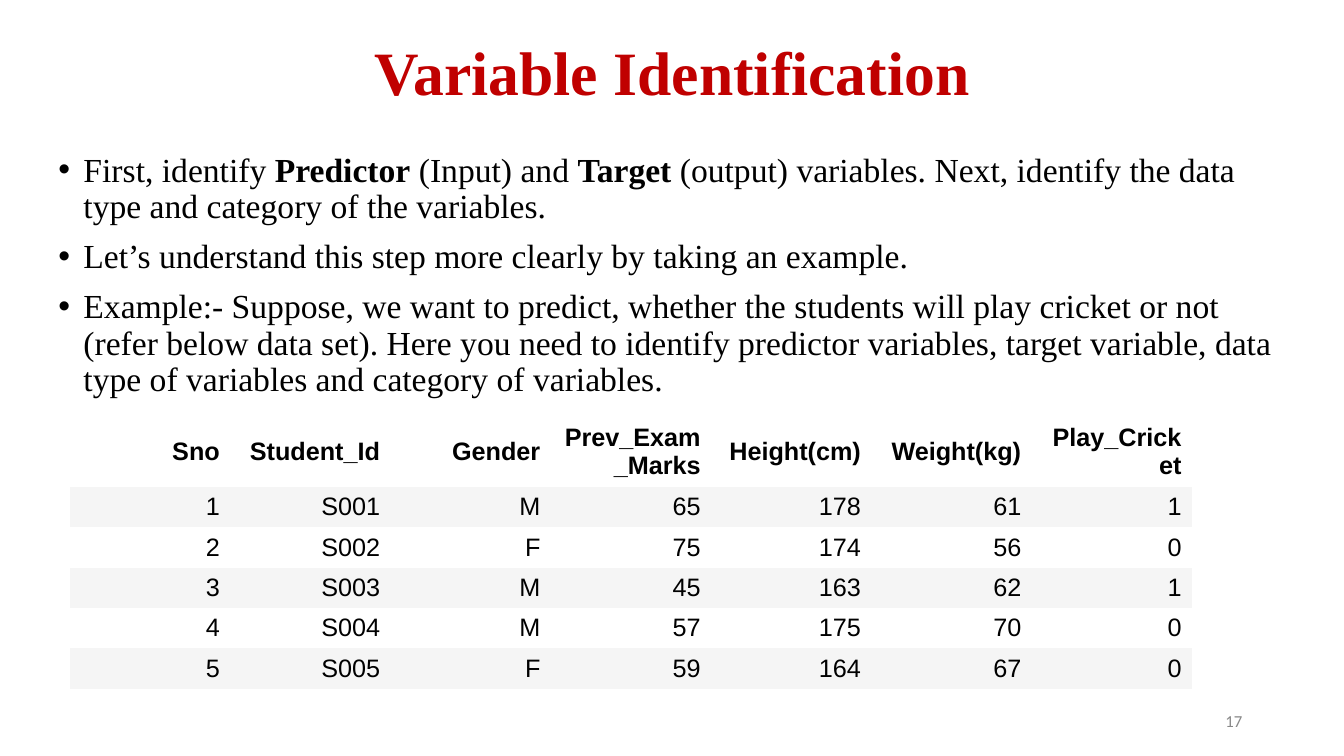
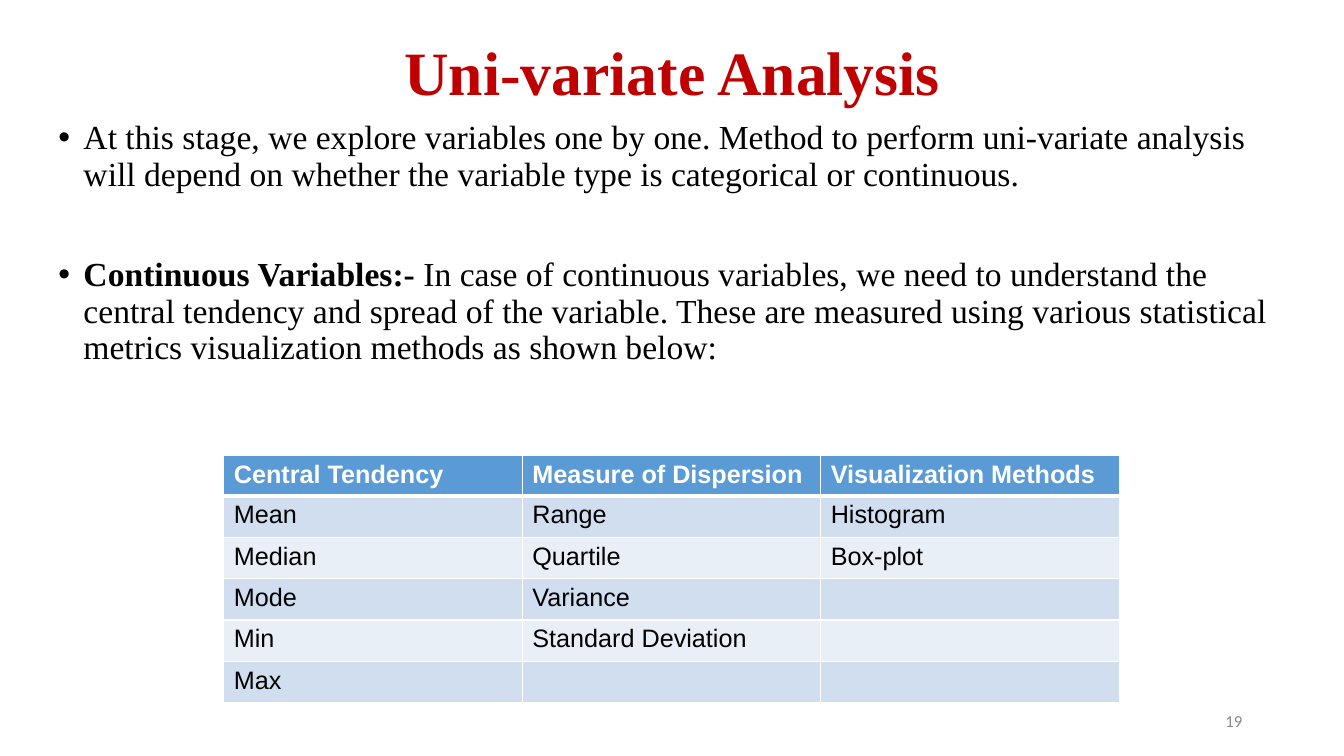
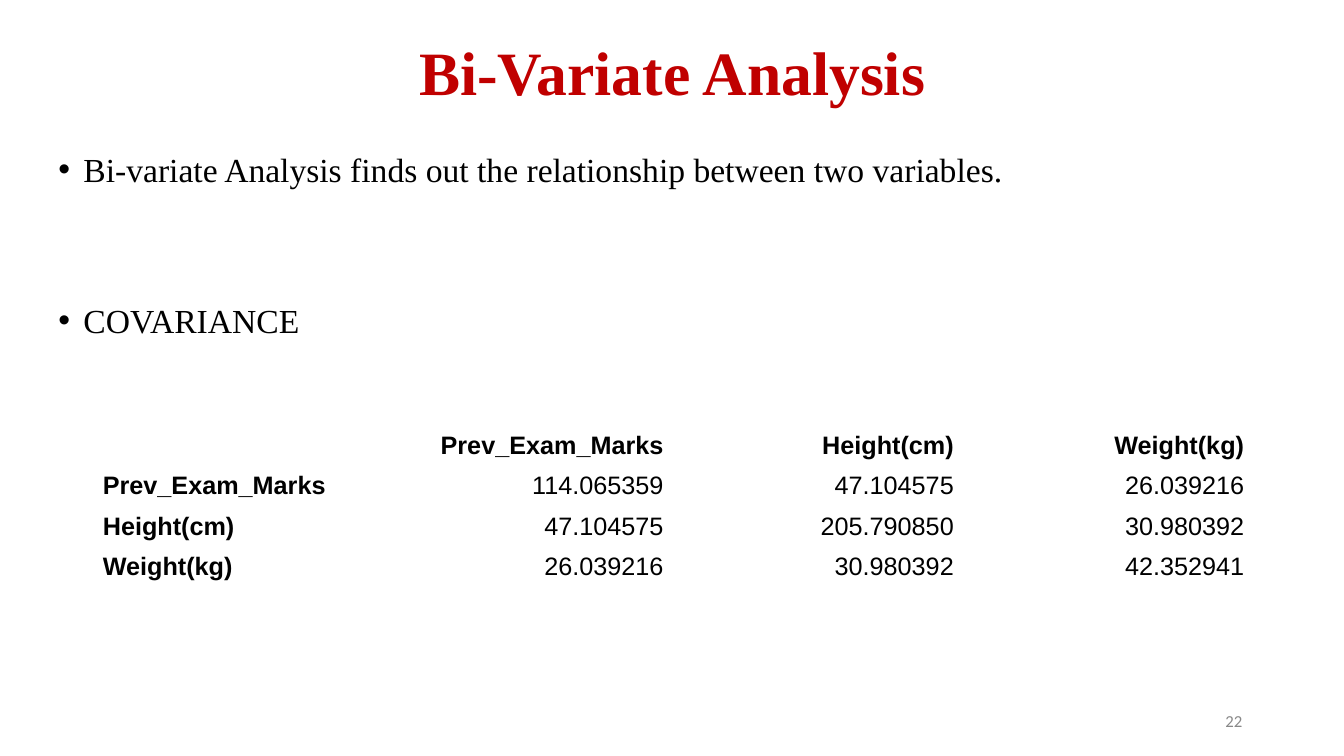
from dataclasses import dataclass
from typing import Optional

from lxml.etree import SubElement
from pptx import Presentation
from pptx.dml.color import RGBColor
from pptx.enum.text import MSO_ANCHOR, PP_ALIGN
from pptx.oxml.ns import qn
from pptx.util import Inches, Pt

RED = RGBColor(0xC0, 0x00, 0x00)
BLACK = RGBColor(0x00, 0x00, 0x00)
WHITE = RGBColor(0xFF, 0xFF, 0xFF)
GRAY = RGBColor(0x88, 0x88, 0x88)
STRIPE = RGBColor(0xF5, 0xF5, 0xF5)
BLUE = RGBColor(0x5B, 0x9B, 0xD5)
BLUE_MID = RGBColor(0xD0, 0xDE, 0xEF)
BLUE_PALE = RGBColor(0xE9, 0xEF, 0xF7)

TITLE_FONT = {"name": "Times New Roman", "size": Pt(44), "bold": True}
BODY_FONT = {"name": "Times New Roman", "size": Pt(24)}
NUMBER_FONT = {"name": "Calibri", "size": Pt(12)}
CELL_FONT = {"name": "Arial", "size": Pt(18)}
NO_STYLE = "{2D5ABB26-0587-4C30-8999-92F81FD0307C}"
ROW_H = 0.38


@dataclass
class Run:
    text: str
    bold: bool = False


@dataclass
class Bullet:
    runs: list[Run]
    before: float = 10


@dataclass
class TableStyle:
    bands: tuple[Optional[RGBColor], Optional[RGBColor]] = (None, None)
    header_fill: Optional[RGBColor] = None
    header_color: RGBColor = BLACK
    align: PP_ALIGN = PP_ALIGN.RIGHT
    anchor: MSO_ANCHOR = MSO_ANCHOR.MIDDLE
    row_labels: bool = False
    ruled: bool = False


@dataclass
class DataTable:
    left: float
    top: float
    col_w: float
    rows: list[list[str]]
    style: TableStyle
    header_h: float = ROW_H
    row_h: float = ROW_H


@dataclass
class Page:
    title: str
    number: str
    bullets: list[Bullet]
    table: DataTable
    body_top: float = 1.47


def set_font(font, formats: dict, color: RGBColor) -> None:
    for name, value in formats.items():
        setattr(font, name, value)
    font.color.rgb = color


def add_box(slide, left: float, top: float, width: float, height: float, anchor: MSO_ANCHOR):
    sp = slide.shapes.add_textbox(Inches(left), Inches(top), Inches(width), Inches(height))
    tf = sp.text_frame
    tf.word_wrap = True
    tf.vertical_anchor = anchor
    return tf


def add_line(tf, text: str, formats: dict, color: RGBColor, align: PP_ALIGN):
    p = tf.paragraphs[0]
    p.alignment = align
    r = p.add_run()
    r.text = text
    set_font(r.font, formats, color)
    return p


def add_bullets(slide, bullets: list[Bullet], top: float) -> None:
    tf = add_box(slide, 0.48, top, 12.43, 7.47 - top, MSO_ANCHOR.TOP)
    for i, bullet in enumerate(bullets):
        p = tf.add_paragraph() if i else tf.paragraphs[0]
        pPr = p._p.get_or_add_pPr()
        pPr.set("marL", str(Inches(0.25)))
        pPr.set("indent", str(Inches(-0.25)))
        SubElement(SubElement(pPr, qn("a:buClr")), qn("a:srgbClr"), val=str(BLACK))
        SubElement(pPr, qn("a:buFont"), typeface="Arial")
        SubElement(pPr, qn("a:buChar"), char="•")
        p.line_spacing = 0.9
        if i:
            p.space_before = Pt(bullet.before)
        for run in bullet.runs:
            r = p.add_run()
            r.text = run.text
            set_font(r.font, BODY_FONT | {"bold": run.bold}, BLACK)


def add_borders(cell, bottom: float) -> None:
    tcPr = cell._tc.get_or_add_tcPr()
    for side, width in {"lnL": 1, "lnR": 1, "lnT": 1, "lnB": bottom}.items():
        ln = SubElement(tcPr, qn(f"a:{side}"), w=str(Pt(width)))
        SubElement(SubElement(ln, qn("a:solidFill")), qn("a:srgbClr"), val=str(WHITE))


def add_data_table(slide, data: DataTable) -> None:
    style = data.style
    n_rows, n_cols = len(data.rows), len(data.rows[0])
    height = data.header_h + (n_rows - 1) * data.row_h
    frame = slide.shapes.add_table(
        n_rows, n_cols, Inches(data.left), Inches(data.top),
        Inches(n_cols * data.col_w), Inches(height))
    table = frame.table
    table.horz_banding = False
    for style_id in frame.element.iter(qn("a:tableStyleId")):
        style_id.text = NO_STYLE
    for column in table.columns:
        column.width = Inches(data.col_w)
    for i, texts in enumerate(data.rows):
        header = i == 0
        table.rows[i].height = Inches(data.header_h if header else data.row_h)
        fill = style.header_fill if header else style.bands[(i - 1) % 2]
        color = style.header_color if header else BLACK
        for j, text in enumerate(texts):
            cell = table.cell(i, j)
            label = style.row_labels and j == 0
            if style.ruled:
                add_borders(cell, 3 if header else 1)
            if fill is None:
                cell.fill.background()
            else:
                cell.fill.solid()
                cell.fill.fore_color.rgb = fill
            cell.vertical_anchor = style.anchor
            if text:
                add_line(cell.text_frame, text, CELL_FONT | {"bold": header or label},
                         color, PP_ALIGN.LEFT if label else style.align)


def add_page(prs, page: Page) -> None:
    slide = prs.slides.add_slide(prs.slide_layouts[6])
    tf = add_box(slide, 0.92, 0.02, 11.5, 1.45, MSO_ANCHOR.MIDDLE)
    p = add_line(tf, page.title, TITLE_FONT, RED, PP_ALIGN.CENTER)
    p.line_spacing = 0.9
    add_bullets(slide, page.bullets, page.body_top)
    tf = add_box(slide, 9.42, 6.95, 3, 0.4, MSO_ANCHOR.MIDDLE)
    add_line(tf, page.number, NUMBER_FONT, GRAY, PP_ALIGN.RIGHT)
    add_data_table(slide, page.table)


PAGES = [
    Page(
        "Variable Identification", "17",
        [
            Bullet([
                Run("First, identify "), Run("Predictor", True), Run(" (Input) and "),
                Run("Target", True),
                Run(" (output) variables. Next, identify the data type and category of the variables."),
            ]),
            Bullet([Run("Let’s understand this step more clearly by taking an example.")]),
            Bullet([Run(
                "Example:- Suppose, we want to predict, whether the students will play cricket "
                "or not (refer below data set). Here you need to identify predictor variables, "
                "target variable, data type of variables and category of variables.")]),
        ],
        DataTable(0.69, 4.13, 1.59, [
            ["Sno", "Student_Id", "Gender", "Prev_Exam_Marks", "Height(cm)", "Weight(kg)", "Play_Cricket"],
            ["1", "S001", "M", "65", "178", "61", "1"],
            ["2", "S002", "F", "75", "174", "56", "0"],
            ["3", "S003", "M", "45", "163", "62", "1"],
            ["4", "S004", "M", "57", "175", "70", "0"],
            ["5", "S005", "F", "59", "164", "67", "0"],
        ], TableStyle(bands=(STRIPE, None)), header_h=0.65),
    ),
    Page(
        "Uni-variate Analysis", "19",
        [
            Bullet([Run(
                "At this stage, we explore variables one by one. Method to perform uni-variate "
                "analysis will depend on whether the variable type is categorical or continuous.")]),
            Bullet([
                Run("Continuous Variables:-", True),
                Run(" In case of continuous variables, we need to understand the central tendency "
                    "and spread of the variable. These are measured using various statistical "
                    "metrics visualization methods as shown below:"),
            ], before=46),
        ],
        DataTable(2.22, 4.52, 2.96, [
            ["Central Tendency", "Measure of Dispersion", "Visualization Methods"],
            ["Mean", "Range", "Histogram"],
            ["Median", "Quartile", "Box-plot"],
            ["Mode", "Variance", ""],
            ["Min", "Standard Deviation", ""],
            ["Max", "", ""],
        ], TableStyle((BLUE_MID, BLUE_PALE), BLUE, WHITE, PP_ALIGN.LEFT, MSO_ANCHOR.TOP, ruled=True),
            row_h=0.41),
        body_top=1.15,
    ),
    Page(
        "Bi-Variate Analysis", "22",
        [
            Bullet([Run("Bi-variate Analysis finds out the relationship between two variables.")]),
            Bullet([Run("COVARIANCE")], before=82),
        ],
        DataTable(0.92, 4.22, 2.88, [
            ["", "Prev_Exam_Marks", "Height(cm)", "Weight(kg)"],
            ["Prev_Exam_Marks", "114.065359", "47.104575", "26.039216"],
            ["Height(cm)", "47.104575", "205.790850", "30.980392"],
            ["Weight(kg)", "26.039216", "30.980392", "42.352941"],
        ], TableStyle(row_labels=True)),
    ),
]


def main() -> None:
    prs = Presentation()
    prs.slide_width, prs.slide_height = Inches(13.33), Inches(7.5)
    for page in PAGES:
        add_page(prs, page)
    prs.save("out.pptx")


if __name__ == "__main__":
    main()
